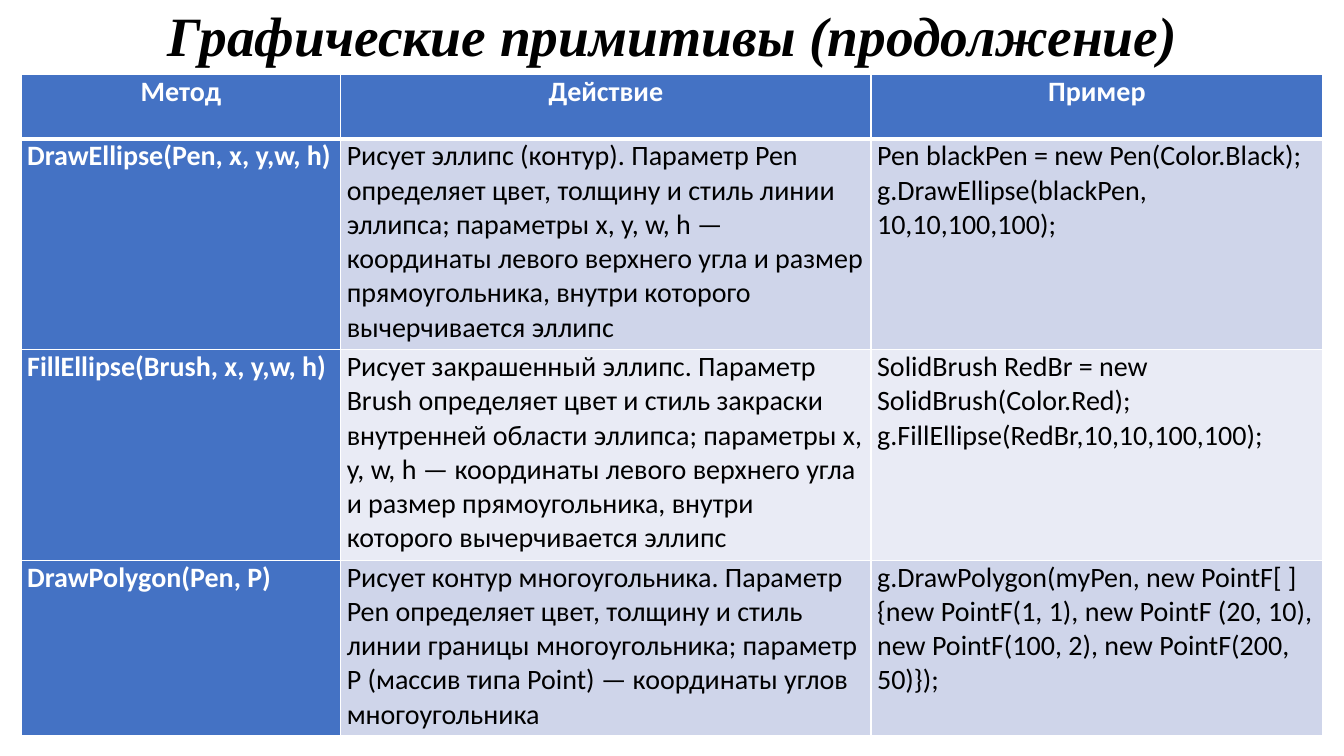
"""Build the slide on graphics primitives: a title over a table of methods."""
from lxml import etree
from pptx import Presentation
from pptx import util as u
from pptx.dml.color import RGBColor
from pptx.enum import text
from pptx.oxml.ns import qn

PX = 9144
COLORS = {"black": "000000", "white": "FFFFFF", "blue": "4472C4",
          "band_dark": "CFD5EA", "band_light": "E9EBF5"}
LEFT, CENTER, JUSTIFY = text.PP_ALIGN.LEFT, text.PP_ALIGN.CENTER, text.PP_ALIGN.JUSTIFY
TITLE = "Графические примитивы (продолжение)"
HEADER = ["Метод", "Действие", "Пример"]
METHODS = [
    ("DrawEllipse(Pen, x, y,w, h)",
     ["Рисует эллипс (контур). Параметр Pen определяет цвет, толщину и стиль линии "
      "эллипса; параметры x, y, w, h — координаты левого верхнего угла и размер "
      "прямоугольника, внутри которого вычерчивается эллипс"],
     ["Pen blackPen = new Pen(Color.Black);",
      "g.DrawEllipse(blackPen, 10,10,100,100);"]),
    ("FillEllipse(Brush, x, y,w, h)",
     ["Рисует закрашенный эллипс. Параметр Brush определяет цвет и стиль закраски "
      "внутренней области эллипса; параметры x, y, w, h — координаты левого верхнего "
      "угла и размер прямоугольника, внутри которого вычерчивается эллипс"],
     ["SolidBrush RedBr = new SolidBrush(Color.Red);",
      "g.FillEllipse(RedBr,10,10,100,100);"]),
    ("DrawPolygon(Pen, P)",
     ["Рисует контур многоугольника. Параметр Pen определяет цвет, толщину и стиль "
      "линии границы многоугольника; параметр",
      "P (массив типа Point) — координаты углов многоугольника"],
     ["g.DrawPolygon(myPen, new PointF[ ] {new PointF(1, 1), new PointF (20, 10), "
      "new PointF(100, 2), new PointF(200, 50)});"]),
]
COL_WIDTHS = [317, 526, 448]
ROW_HEIGHTS = [64, 209, 209, 174]


def px(n):
    """Turn px into EMU."""
    return u.Emu(n * PX)


def rgb(name):
    """Look up a named colour."""
    return RGBColor.from_string(COLORS[name])


def write(tf, lines, size=20, font="Calibri", color="black", bold=False, italic=False,
          align=LEFT, later_align=None, spacing=None):
    """Write one paragraph per line; later_align is for those after the first."""
    for i, line in enumerate(lines):
        p = tf.add_paragraph() if i else tf.paragraphs[0]
        p.alignment = later_align if i and later_align else align
        if spacing:
            p.line_spacing = spacing
        r = p.add_run()
        r.text = line
        r.font.size, r.font.name = u.Pt(size), font
        r.font.bold, r.font.italic = bold, italic
        r.font.color.rgb = rgb(color)


def add_title(s):
    """Add the slide title."""
    sp = s.shapes.add_textbox(px(92), px(2), px(1150), px(72))
    tf = sp.text_frame
    tf.word_wrap = True
    tf.vertical_anchor = text.MSO_ANCHOR.MIDDLE
    write(tf, [TITLE], size=39.6, font="Times New Roman", bold=True, italic=True,
          align=CENTER, spacing=0.9)


def set_borders(cell, top=1, bottom=1):
    """Draw white borders, with top and bottom widths in points."""
    tc_pr = cell._tc.get_or_add_tcPr()
    for i, (side, width) in enumerate([("L", 1), ("R", 1), ("T", top), ("B", bottom)]):
        ln = etree.Element(qn(f"a:ln{side}"), w=str(u.Pt(width)))
        fill = etree.SubElement(ln, qn("a:solidFill"))
        etree.SubElement(fill, qn("a:srgbClr"), val=COLORS["white"])
        tc_pr.insert(i, ln)


def fill_cell(cell, lines, fill, top=1, bottom=1, **fmt):
    """Set the fill, insets, borders and text of a cell."""
    cell.fill.solid()
    cell.fill.fore_color.rgb = rgb(fill)
    cell.margin_left = cell.margin_right = px(6)
    cell.margin_top = cell.margin_bottom = 0
    set_borders(cell, top, bottom)
    write(cell.text_frame, lines, **fmt)


def add_methods_table(s):
    """Add the table of drawing methods."""
    frame = s.shapes.add_table(len(ROW_HEIGHTS), len(COL_WIDTHS), px(21), px(74),
                               px(sum(COL_WIDTHS)), px(sum(ROW_HEIGHTS)))
    table = frame.table
    for col, width in zip(table.columns, COL_WIDTHS):
        col.width = px(width)
    for row, height in zip(table.rows, ROW_HEIGHTS):
        row.height = px(height)
    for c, label in enumerate(HEADER):
        fill_cell(table.cell(0, c), [label], "blue", bottom=3,
                  color="white", bold=True, align=CENTER)
    for r, (method, action, example) in enumerate(METHODS, 1):
        band = "band_dark" if r % 2 else "band_light"
        top = 3 if r == 1 else 1
        fill_cell(table.cell(r, 0), [method], "blue", top=top, color="white", bold=True)
        fill_cell(table.cell(r, 1), action, band, top=top)
        fill_cell(table.cell(r, 2), example, band, top=top, later_align=JUSTIFY)


def main():
    """Build and save the slide."""
    prs = Presentation()
    prs.slide_width, prs.slide_height = px(1333), px(750)
    s = prs.slides.add_slide(prs.slide_layouts[6])
    add_title(s)
    add_methods_table(s)
    prs.save("out.pptx")


if __name__ == "__main__":
    main()
